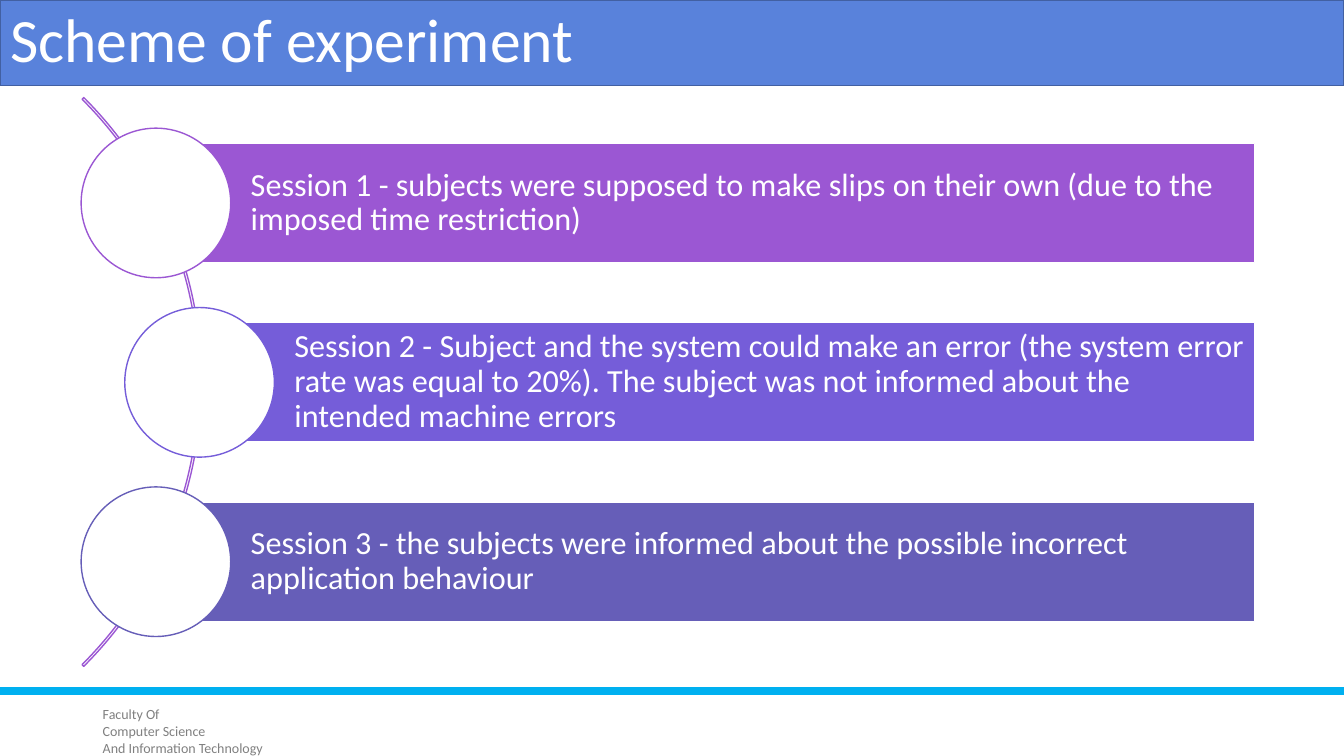
from dataclasses import dataclass

from pptx import Presentation
from pptx.dml.color import RGBColor
from pptx.enum.shapes import MSO_SHAPE
from pptx.enum.text import MSO_ANCHOR, MSO_AUTO_SIZE, PP_ALIGN
from pptx.util import Cm, Pt


@dataclass(frozen=True)
class Theme:
    font: str = "Calibri"
    white: str = "FFFFFF"
    grey: str = "808080"
    cyan: str = "00B0F0"
    blue: str = "5982DB"
    navy: str = "4260A2"
    purple: str = "9B57D3"
    violet: str = "755DD9"
    indigo: str = "665EB8"
    head: int = 44
    body: int = 23
    small: int = 10


THEME = Theme()

SESSIONS = [
    ("Session 1 - subjects were supposed to make slips on their own "
     "(due to the imposed time restriction)", THEME.purple, 3.93),
    ("Session 2 - Subject and the system could make an error (the system "
     "error rate was equal to 20%). The subject was not informed about the "
     "intended machine errors", THEME.violet, 5.03),
    ("Session 3 - the subjects were informed about the possible incorrect "
     "application behaviour", THEME.indigo, 3.93),
]
FOOTER = ["Faculty Of", "Computer Science", "And Information Technology"]

# Session rows, in centimetres
TOP, STEP = 3.61, 4.52
RIGHT, HEIGHT, DISC = 31.62, 3.01, 3.77


def paint(shape, fill, line=None, width=1):
    """Set fill and outline; None leaves either one out."""
    if fill:
        shape.fill.solid()
        shape.fill.fore_color.rgb = RGBColor.from_string(fill)
    else:
        shape.fill.background()
    if line:
        shape.line.color.rgb = RGBColor.from_string(line)
        shape.line.width = Pt(width)
    else:
        shape.line.fill.background()


def add_form(slide, kind, box, fill, line=None, width=1):
    shape = slide.shapes.add_shape(kind, *map(Cm, box))
    shape.shadow.inherit = False
    paint(shape, fill, line, width)
    return shape


def write(frame, lines, size, color, anchor, space=None):
    """Fill a text frame with one run per paragraph."""
    frame.vertical_anchor = anchor
    for i, line in enumerate(lines):
        para = frame.add_paragraph() if i else frame.paragraphs[0]
        para.alignment = PP_ALIGN.LEFT
        para.line_spacing = space
        run = para.add_run()
        run.text = line
        run.font.name = THEME.font
        run.font.size = Pt(size)
        run.font.color.rgb = RGBColor.from_string(color)


def add_title(slide, text):
    title = slide.shapes.title
    title.left, title.top = Cm(0), Cm(0)
    title.width, title.height = Cm(33.87), Cm(2.16)
    paint(title, THEME.blue, THEME.navy)
    title.text_frame.auto_size = MSO_AUTO_SIZE.NONE
    write(title.text_frame, [text], THEME.head, THEME.white,
          MSO_ANCHOR.MIDDLE, 0.9)


def add_footer(slide):
    add_form(slide, MSO_SHAPE.RECTANGLE, (-0.61, 17.42, 35.53, 1.88),
             THEME.white, THEME.cyan, 6)
    label = add_form(slide, MSO_SHAPE.RECTANGLE, (2.34, 17.65, 4.65, 1.55),
                     THEME.white)
    label.text_frame.word_wrap = False
    write(label.text_frame, FOOTER, THEME.small, THEME.grey, MSO_ANCHOR.TOP)


def add_arc(slide):
    arc = add_form(slide, MSO_SHAPE.BLOCK_ARC, (-15.19, -0.51, 20.27, 20.27),
                   None, THEME.purple)
    # Start and end angle (315° and 45°), then thickness
    for i, value in enumerate((189, 27, 0.003)):
        arc.adjustments[i] = value


def add_session(slide, text, color, left, top):
    bar = add_form(slide, MSO_SHAPE.RECTANGLE,
                   (left, top, RIGHT - left, HEIGHT), color, THEME.white)
    frame = bar.text_frame
    frame.word_wrap = True
    frame.margin_left = Cm(2.39)
    frame.margin_top = frame.margin_right = frame.margin_bottom = Cm(0.15)
    write(frame, [text], THEME.body, THEME.white, MSO_ANCHOR.MIDDLE, 0.9)
    # Disc centred on the left edge of the bar
    add_form(slide, MSO_SHAPE.OVAL,
             (left - DISC / 2, top + (HEIGHT - DISC) / 2, DISC, DISC),
             THEME.white, color)


def main():
    deck = Presentation()
    deck.slide_width, deck.slide_height = Cm(33.87), Cm(19.05)
    slide = deck.slides.add_slide(deck.slide_layouts[5])

    add_footer(slide)
    add_title(slide, "Scheme of experiment")
    add_arc(slide)
    for i, (text, color, left) in enumerate(SESSIONS):
        add_session(slide, text, color, left, TOP + i * STEP)

    deck.save("out.pptx")


if __name__ == "__main__":
    main()
